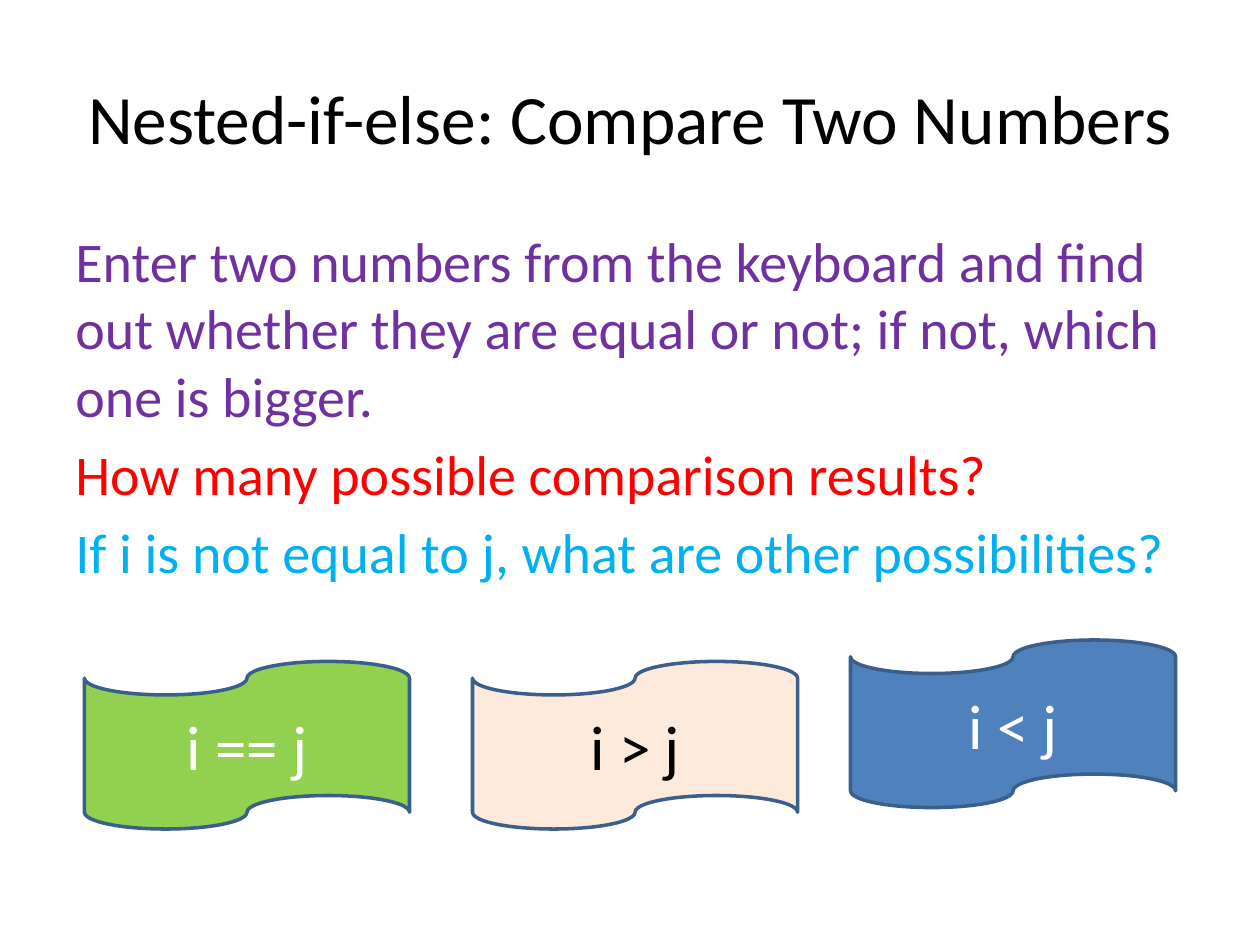
"""Build a slide on comparing two numbers with nested if-else."""
from dataclasses import dataclass

from pptx import Presentation
from pptx.dml.color import RGBColor
from pptx.enum.shapes import MSO_SHAPE as Shape
from pptx.enum.text import MSO_ANCHOR as Anchor, PP_ALIGN as Align
from pptx.util import Inches, Pt


@dataclass(frozen=True)
class Theme:
    font: str = "Calibri"
    title_size: float = 39.6
    body_size: float = 32
    tape_size: float = 36
    paragraph_gap: float = 6.4
    outline_width: float = 2
    black: str = "000000"
    white: str = "FFFFFF"
    purple: str = "7030A0"
    red: str = "FF0000"
    sky: str = "00B0F0"
    green: str = "92D050"
    peach: str = "FDEADA"
    blue: str = "4F81BD"
    outline: str = "3A5F8C"


THEME = Theme()


def add_run(paragraph, text, size, color):
    run = paragraph.add_run()
    run.text = text
    run.font.name = THEME.font
    run.font.size = Pt(size)
    run.font.color.rgb = RGBColor.from_string(color)


def set_title(slide, text):
    title = slide.shapes.title
    title.left, title.top = Inches(0.5), Inches(0.3)
    title.width, title.height = Inches(9), Inches(1.25)
    title.text_frame.vertical_anchor = Anchor.MIDDLE
    paragraph = title.text_frame.paragraphs[0]
    paragraph.alignment = Align.CENTER
    add_run(paragraph, text, THEME.title_size, THEME.black)


def add_body(slide, lines):
    box = slide.shapes.add_textbox(Inches(0.5), Inches(1.75), Inches(9), Inches(4.95))
    frame = box.text_frame
    frame.word_wrap = True
    for index, (text, color) in enumerate(lines):
        paragraph = frame.add_paragraph() if index else frame.paragraphs[0]
        paragraph.space_before = Pt(THEME.paragraph_gap)
        add_run(paragraph, text, THEME.body_size, color)


def add_tape(slide, left, top, text, fill, text_color):
    tape = slide.shapes.add_shape(
        Shape.FLOWCHART_PUNCHED_TAPE,
        Inches(left), Inches(top), Inches(2.58), Inches(1.33),
    )
    tape.shadow.inherit = False
    tape.fill.solid()
    tape.fill.fore_color.rgb = RGBColor.from_string(fill)
    tape.line.color.rgb = RGBColor.from_string(THEME.outline)
    tape.line.width = Pt(THEME.outline_width)
    tape.text_frame.vertical_anchor = Anchor.MIDDLE
    paragraph = tape.text_frame.paragraphs[0]
    paragraph.alignment = Align.CENTER
    add_run(paragraph, text, THEME.tape_size, text_color)


def main():
    presentation = Presentation()
    presentation.slide_width, presentation.slide_height = Inches(10), Inches(7.5)
    slide = presentation.slides.add_slide(presentation.slide_layouts[5])
    set_title(slide, "Nested-if-else: Compare Two Numbers")
    add_body(slide, [
        ("Enter two numbers from the keyboard and find out whether they are "
         "equal or not; if not, which one is bigger.", THEME.purple),
        ("How many possible comparison results?", THEME.red),
        ("If i is not equal to j, what are other possibilities?", THEME.sky),
    ])
    tapes = [
        (0.67, 5.25, "i == j", THEME.green, THEME.white),
        (3.75, 5.25, "i > j", THEME.peach, THEME.black),
        (6.75, 5.08, "i < j", THEME.blue, THEME.white),
    ]
    for tape in tapes:
        add_tape(slide, *tape)
    presentation.save("out.pptx")


main()
